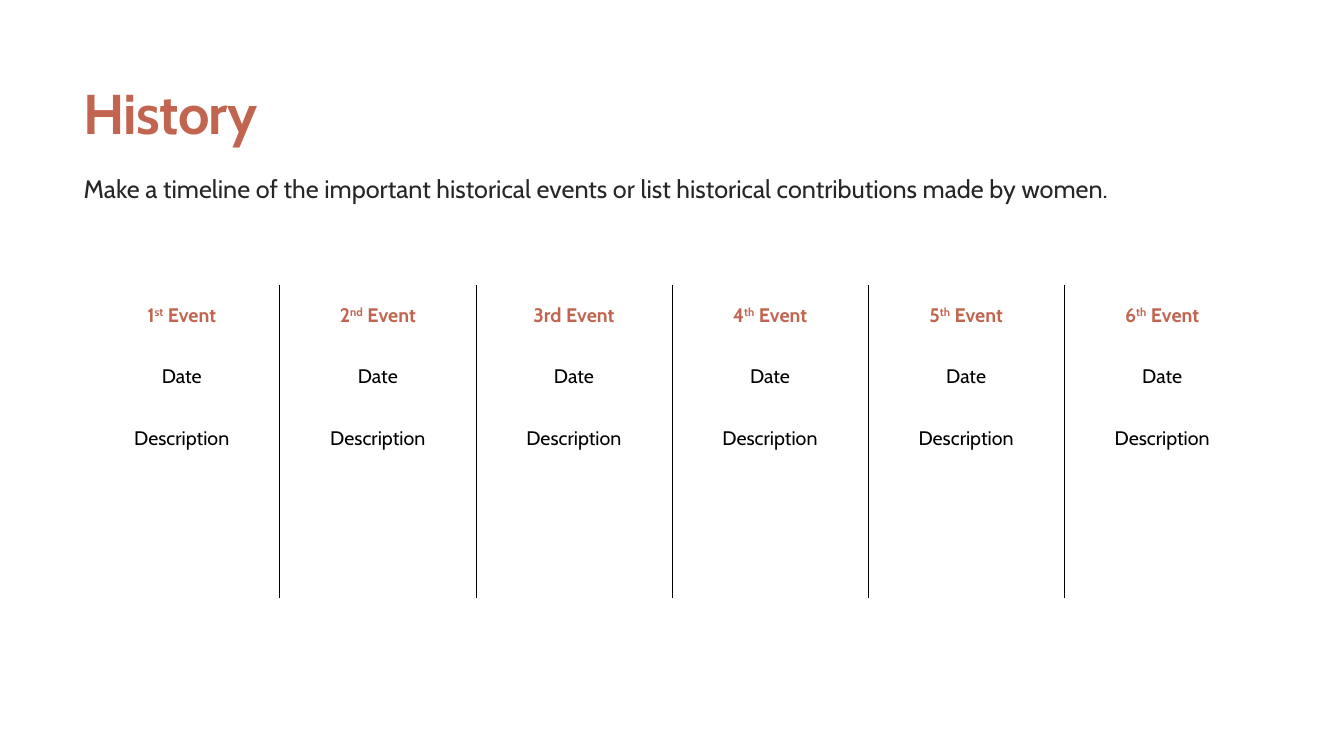
from lxml.etree import SubElement
from pptx import Presentation
from pptx.dml.color import RGBColor as RGB
from pptx.enum.text import MSO_ANCHOR as Anchor, PP_ALIGN as Align
from pptx.oxml import parse_xml
from pptx.oxml.ns import nsdecls
from pptx.util import Inches, Pt

COLORS = {"rust": "C16550", "dark": "262626", "black": "000000"}
LEFT, WIDTH = 0.83, 11.67
EVENTS = [("1", "st"), ("2", "nd"), ("3rd", ""), ("4", "th"), ("5", "th"), ("6", "th")]
ROWS = [0.6, 0.6, 1.9]
NO_STYLE = "{2D5ABB26-0587-4C30-8999-92F81FD0307C}"


def add_run(para, text, size, color, bold=False):
    run = para.add_run()
    run.text = text
    font = {"name": "Cabin", "size": Pt(size), "bold": bold}
    for key, value in font.items():
        setattr(run.font, key, value)
    run.font.color.rgb = RGB.from_string(COLORS[color])
    return run


def add_border(cell, side):
    line = parse_xml(
        f'<a:{side} {nsdecls("a")} w="{Pt(0.5)}"><a:solidFill>'
        f'<a:srgbClr val="{COLORS["black"]}"/></a:solidFill></a:{side}>'
    )
    cell._tc.get_or_add_tcPr().insert(0, line)


deck = Presentation()
deck.slide_width, deck.slide_height = Inches(13.33), Inches(7.5)
slide = deck.slides.add_slide(deck.slide_layouts[6])

heads = [
    ("History", 0.78, 0.67, Anchor.BOTTOM, 40, "rust", True, 1, -50),
    ("Make a timeline of the important historical events or list historical contributions made by women.",
     1.75, 0.83, Anchor.TOP, 18, "dark", False, 0.9, 0),
]
for text, top, height, anchor, size, color, bold, pitch, track in heads:
    box = slide.shapes.add_textbox(Inches(LEFT), Inches(top), Inches(WIDTH), Inches(height))
    frame = box.text_frame
    layout = {"word_wrap": True, "vertical_anchor": anchor, "margin_left": 0,
              "margin_right": 0, "margin_top": 0, "margin_bottom": 0}
    for key, value in layout.items():
        setattr(frame, key, value)
    para = frame.paragraphs[0]
    para.line_spacing = pitch
    run = add_run(para, text, size, color, bold)
    if track:
        run.font._element.set("spc", str(track))

frame = slide.shapes.add_table(
    len(ROWS), len(EVENTS), Inches(LEFT), Inches(2.83), Inches(WIDTH), Inches(sum(ROWS))
)
table = frame.table
table.first_row = table.horz_banding = False
table._tbl.tblPr.find("{*}tableStyleId").text = NO_STYLE
for row, height in zip(table.rows, ROWS):
    row.height = Inches(height)

for col, (number, suffix) in enumerate(EVENTS):
    table.columns[col].width = Inches(WIDTH / len(EVENTS))
    for row in range(len(ROWS)):
        cell = table.cell(row, col)
        cell.fill.background()
        cell.vertical_anchor = Anchor.MIDDLE
        if col < len(EVENTS) - 1:
            add_border(cell, "lnR")
        if col > 0:
            add_border(cell, "lnL")
        para = cell.text_frame.paragraphs[0]
        para.alignment = Align.CENTER
        if row > 0:
            add_run(para, ["Date", "Description"][row - 1], 14, "black")
        elif suffix:
            add_run(para, number, 14, "rust", True)
            small = add_run(para, suffix, 14, "rust", True)
            small.font._element.set("baseline", "30000")
            add_run(para, " Event", 14, "rust", True)
        else:
            add_run(para, number + " Event", 14, "rust", True)
    cell.vertical_anchor = Anchor.TOP
    cell.margin_top = Inches(0.2)

deck.save("out.pptx")
